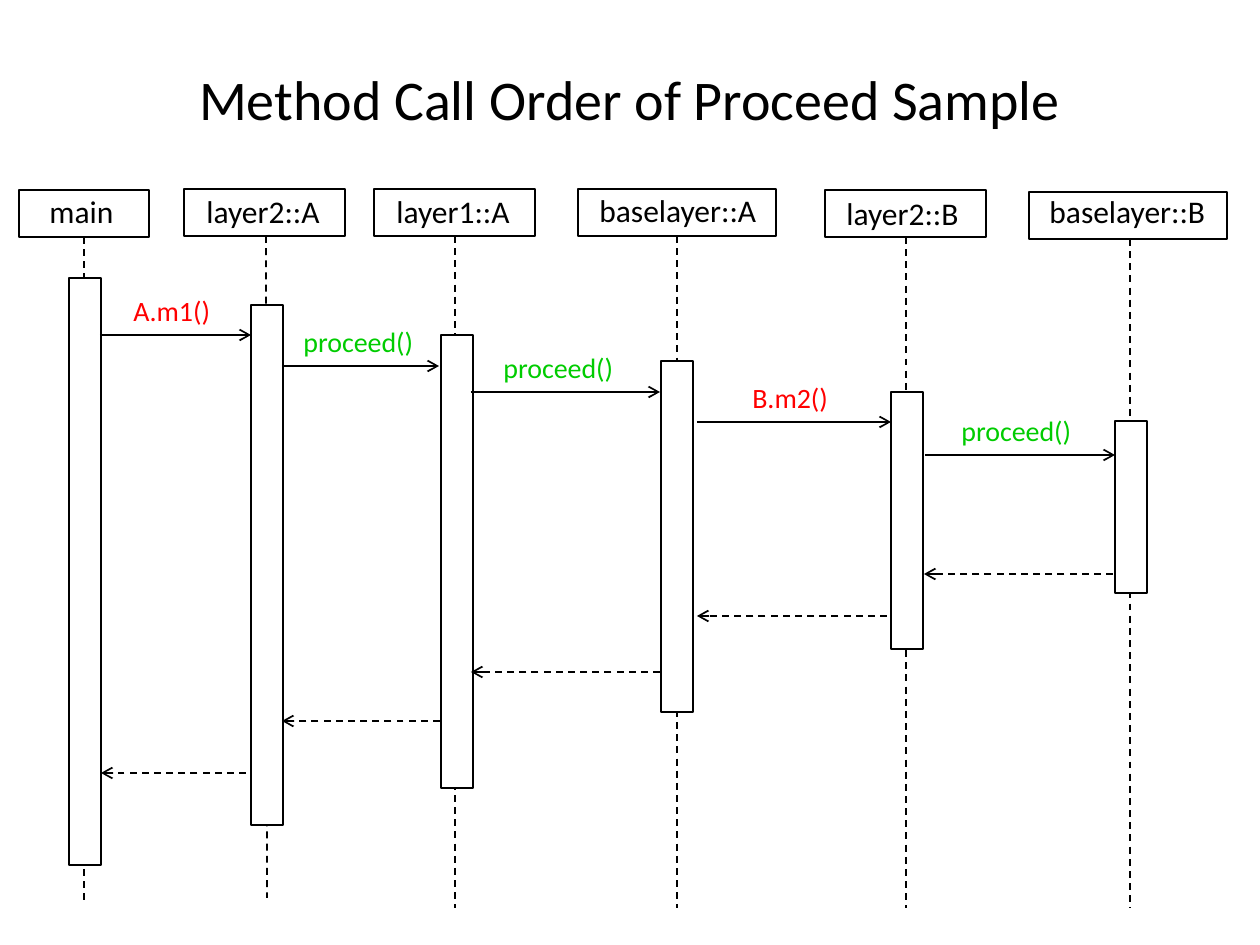
"""Build a slide with a sequence diagram of layered method calls."""
from dataclasses import dataclass

from lxml.etree import SubElement
from pptx import Presentation
from pptx.dml.color import RGBColor
from pptx.enum.dml import MSO_LINE
from pptx.enum.shapes import MSO_CONNECTOR, MSO_SHAPE
from pptx.enum.text import MSO_ANCHOR, PP_ALIGN
from pptx.oxml.ns import qn
from pptx.util import Pt

PIXEL = 914400 / 126
BLACK, WHITE, RED, GREEN = "000000", "FFFFFF", "FF0000", "00CC00"
HEAD_HEIGHT, BAR_WIDTH, MESSAGE_GAP = 47, 32, 48


@dataclass
class Participant:
    name: str
    head_left: int
    head_top: int
    head_width: int
    label_left: int
    label_top: int
    label_width: int
    line_start: int
    line_end: int
    line_bottom: int
    bar_left: int
    bar_top: int
    bar_height: int


@dataclass
class Message:
    start: int
    end: int
    y: int
    text: str = ""
    color: str = BLACK
    label_left: int = 0
    label_width: int = 144


PARTICIPANTS = [
    Participant("main", 19, 190, 130, 37, 186, 108, 84, 84, 901, 69, 278, 587),
    Participant("layer2::A", 184, 189, 161, 194, 186, 144, 266, 267, 898, 251, 305, 520),
    Participant("layer1::A", 374, 189, 161, 384, 186, 144, 455, 455, 908, 441, 335, 453),
    Participant("baselayer::A", 578, 189, 198, 587, 185, 184, 677, 677, 908, 661, 361, 351),
    Participant("layer2::B", 825, 190, 161, 834, 188, 144, 906, 906, 908, 891, 392, 257),
    Participant("baselayer::B", 1029, 192, 198, 1037, 186, 184, 1130, 1130, 908, 1115, 421, 172),
]

CALLS = [
    Message(100, 251, 335, "A.m1()", RED, 121, 129),
    Message(282, 439, 366, "proceed()", GREEN, 291),
    Message(471, 660, 392, "proceed()", GREEN, 491),
    Message(697, 891, 422, "B.m2()", RED, 740, 113),
    Message(925, 1115, 455, "proceed()", GREEN, 949),
]

RETURNS = [
    Message(1113, 924, 574),
    Message(887, 697, 616),
    Message(660, 471, 672),
    Message(440, 282, 721),
    Message(246, 101, 773),
]


def px(length: int) -> int:
    return round(length * PIXEL)


def rgb(color: str) -> RGBColor:
    return RGBColor.from_string(color)


def style_text(frame, text: str, size: int, color: str) -> None:
    frame.text = text
    for span in frame.paragraphs[0].runs:
        span.font.name = "Calibri"
        span.font.size = Pt(size)
        span.font.color.rgb = rgb(color)


def add_box(page, left: int, top: int, width: int, height: int) -> None:
    box = page.shapes.add_shape(MSO_SHAPE.RECTANGLE, px(left), px(top), px(width), px(height))
    box.shadow.inherit = False
    box.fill.solid()
    box.fill.fore_color.rgb = rgb(WHITE)
    box.line.color.rgb = rgb(BLACK)
    box.line.width = Pt(1)


def add_label(page, text: str, left: int, top: int, width: int, size: int, color: str) -> None:
    height = 50 if size == 18 else 47
    label = page.shapes.add_textbox(px(left), px(top), px(width), px(height))
    label.text_frame.word_wrap = True
    style_text(label.text_frame, text, size, color)


def add_line(page, start: tuple[int, int], end: tuple[int, int], dashed: bool, arrow: bool) -> None:
    line = page.shapes.add_connector(MSO_CONNECTOR.STRAIGHT, *map(px, start + end))
    line.line.color.rgb = rgb(BLACK)
    line.line.width = Pt(1)
    if dashed:
        line.line.dash_style = MSO_LINE.DASH
    properties = line._element.spPr
    if arrow:
        SubElement(properties.find(qn("a:ln")), qn("a:tailEnd"), type="arrow")
    SubElement(properties, qn("a:effectLst"))


def add_participant(page, item: Participant) -> None:
    add_box(page, item.head_left, item.head_top, item.head_width, HEAD_HEIGHT)
    add_label(page, item.name, item.label_left, item.label_top, item.label_width, 18, BLACK)
    top = item.head_top + HEAD_HEIGHT
    add_line(page, (item.line_start, top), (item.line_end, item.line_bottom), True, False)
    add_box(page, item.bar_left, item.bar_top, BAR_WIDTH, item.bar_height)


def add_message(page, item: Message) -> None:
    add_line(page, (item.start, item.y), (item.end, item.y), not item.text, True)
    if item.text:
        add_label(page, item.text, item.label_left, item.y - MESSAGE_GAP,
                  item.label_width, 16, item.color)


def add_title(page, text: str) -> None:
    title = page.shapes.title
    title.left, title.top, title.width, title.height = map(px, (63, 38, 1134, 121))
    style_text(title.text_frame, text, 32, BLACK)
    title.text_frame.vertical_anchor = MSO_ANCHOR.MIDDLE
    title.text_frame.paragraphs[0].alignment = PP_ALIGN.CENTER


def main() -> None:
    deck = Presentation()
    deck.slide_width, deck.slide_height = px(1260), px(945)
    page = deck.slides.add_slide(deck.slide_layouts[5])
    add_title(page, "Method Call Order of Proceed Sample")
    for participant in PARTICIPANTS:
        add_participant(page, participant)
    for message in CALLS + RETURNS:
        add_message(page, message)
    deck.save("out.pptx")


main()
